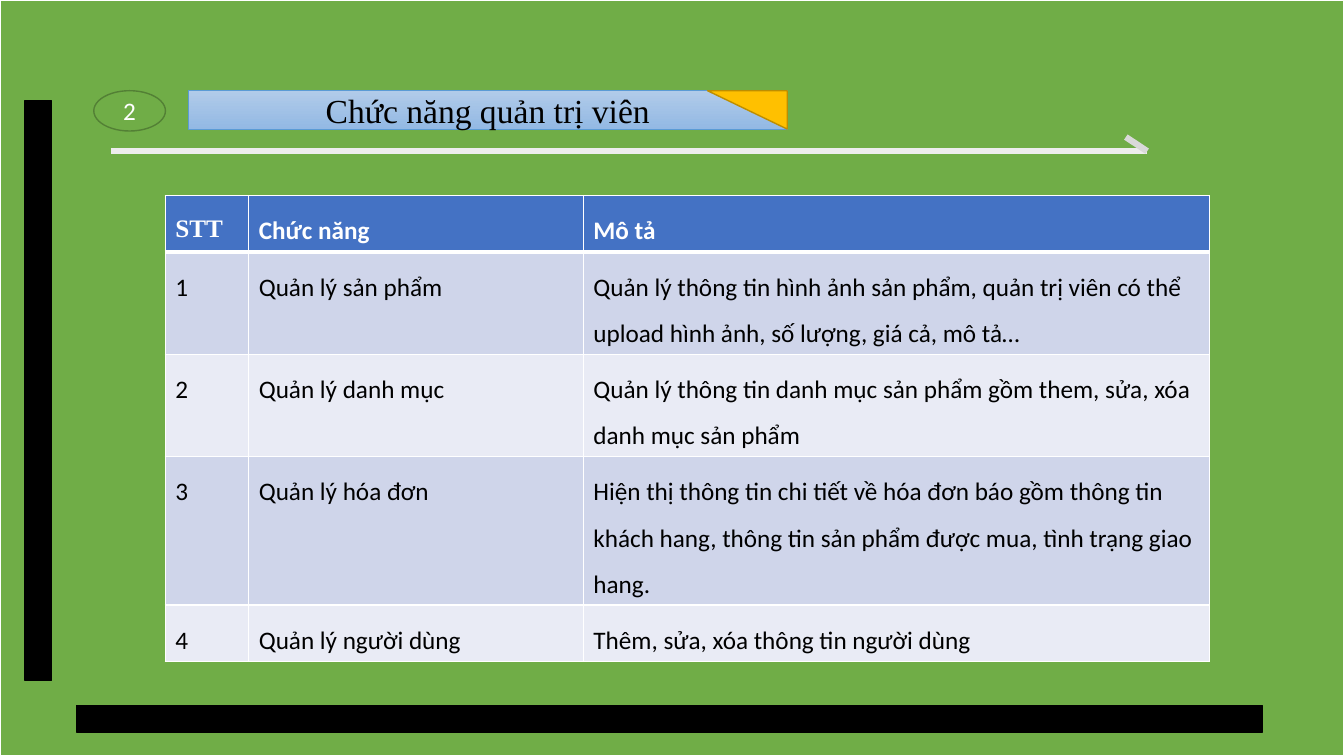
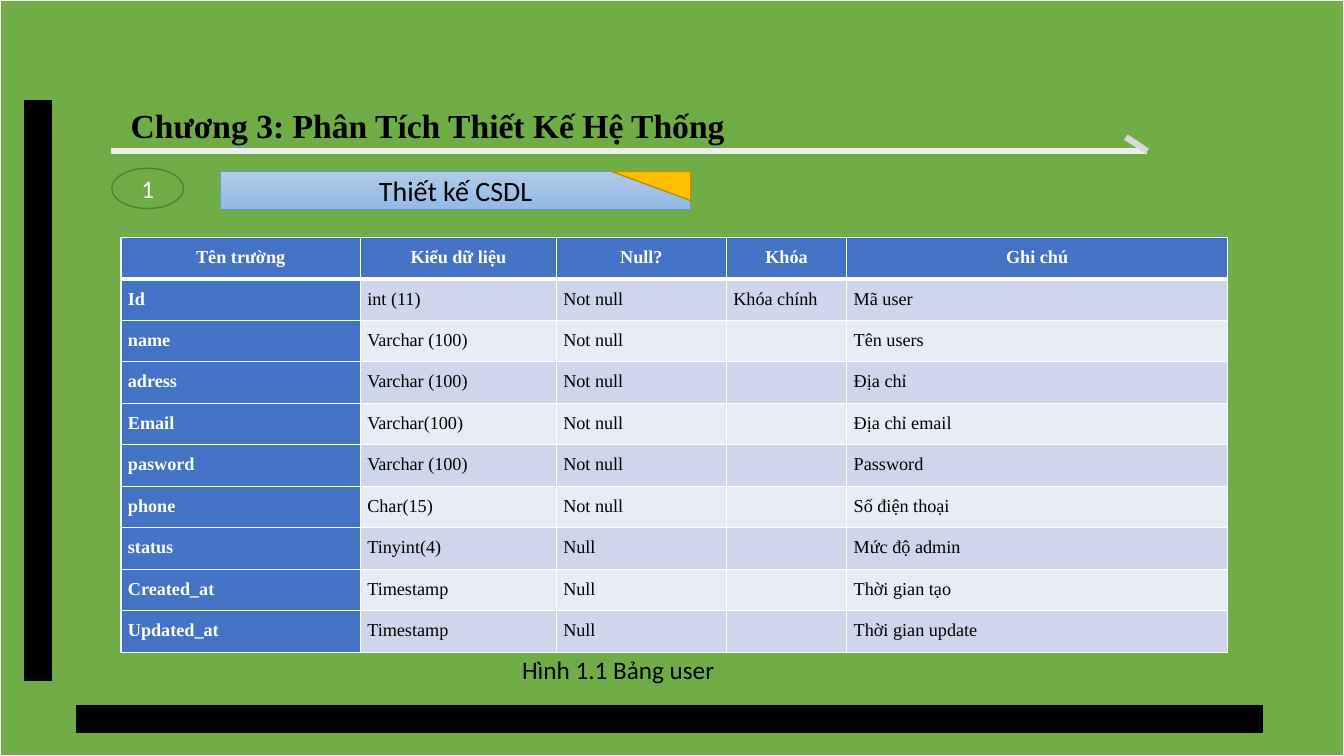
from lxml.etree import SubElement
from pptx import Presentation
from pptx.dml.color import RGBColor
from pptx.enum.shapes import MSO_CONNECTOR, MSO_SHAPE
from pptx.enum.text import MSO_ANCHOR, PP_ALIGN
from pptx.oxml.ns import qn
from pptx.util import Pt

SERIF, SANS = "Times New Roman", "Calibri"
BLACK, WHITE, GREEN, BLUE = "000000", "FFFFFF", "70AD47", "4472C4"
BANDS = ("CFD5EA", "E9EBF5")
BANNER_H = 27.4

FUNCTIONS = [
    ("STT", "Chức năng", "Mô tả"),
    ("1", "Quản lý sản phẩm",
     "Quản lý thông tin hình ảnh sản phẩm, quản trị viên có thể upload hình ảnh, "
     "số lượng, giá cả, mô tả…"),
    ("2", "Quản lý danh mục",
     "Quản lý thông tin danh mục sản phẩm gồm them, sửa, xóa danh mục sản phẩm"),
    ("3", "Quản lý hóa đơn",
     "Hiện thị thông tin chi tiết về hóa đơn báo gồm thông tin khách hang, "
     "thông tin sản phẩm được mua, tình trạng giao hang."),
    ("4", "Quản lý người dùng", "Thêm, sửa, xóa thông tin người dùng"),
]

USER_FIELDS = [
    ("Tên trường", "Kiểu dữ liệu", "Null?", "Khóa", "Ghi chú"),
    ("Id", "int (11)", "Not null", "Khóa chính", "Mã user"),
    ("name", "Varchar (100)", "Not null", "", "Tên users"),
    ("adress", "Varchar (100)", "Not null", "", "Địa chỉ"),
    ("Email", "Varchar(100)", "Not null", "", "Địa chỉ email"),
    ("pasword", "Varchar (100)", "Not null", "", "Password"),
    ("phone", "Char(15)", "Not null", "", "Số điện thoại"),
    ("status", "Tinyint(4)", "Null", "", "Mức độ admin"),
    ("Created_at", "Timestamp", "Null", "", "Thời gian tạo"),
    ("Updated_at", "Timestamp", "Null", "", "Thời gian update"),
]


def rgb(color):
    return RGBColor.from_string(color)


def write(tf, text, size=18, font=SANS, color=BLACK, bold=False,
          align=PP_ALIGN.LEFT, spacing=None):
    tf.word_wrap = True
    p = tf.paragraphs[0]
    p.alignment = align
    p.line_spacing = spacing
    if text:
        r = p.add_run()
        r.text = text
        r.font.size = Pt(size)
        r.font.name = font
        r.font.bold = bold
        r.font.color.rgb = rgb(color)


def add_shape(s, kind, x, y, w, h, fill, line, weight=1):
    """Add a preset shape; a pair of fill colours gives a vertical gradient."""
    sp = s.shapes.add_shape(kind, Pt(x), Pt(y), Pt(w), Pt(h))
    sp.shadow.inherit = False
    if isinstance(fill, tuple):
        sp.fill.gradient()
        sp.fill.gradient_angle = 270
        for stop, color in zip(sp.fill.gradient_stops, fill):
            stop.color.rgb = rgb(color)
    else:
        sp.fill.solid()
        sp.fill.fore_color.rgb = rgb(fill)
    sp.line.color.rgb = rgb(line)
    sp.line.width = Pt(weight)
    return sp


def add_line(s, x1, y1, x2, y2, color):
    line = s.shapes.add_connector(MSO_CONNECTOR.STRAIGHT, Pt(x1), Pt(y1), Pt(x2), Pt(y2))
    line.line.color.rgb = rgb(color)
    line.line.width = Pt(4.5)
    SubElement(line._element.spPr, qn("a:effectLst"))


def add_text(s, text, x, y, w, h, **fmt):
    write(s.shapes.add_textbox(Pt(x), Pt(y), Pt(w), Pt(h)).text_frame, text, **fmt)


def add_framed_slide(prs):
    """Add a blank slide with the shared background, bars and title rule."""
    s = prs.slides.add_slide(prs.slide_layouts[6])
    add_shape(s, MSO_SHAPE.RECTANGLE, 0, 0, 960, 540, GREEN, WHITE, 1.5)
    add_shape(s, MSO_SHAPE.RECTANGLE, 18, 72, 19, 414, BLACK, BLACK)
    add_shape(s, MSO_SHAPE.RECTANGLE, 54.7, 504, 847, 19, BLACK, BLACK)
    add_line(s, 79.2, 108, 819.4, 108, "EDEDED")
    add_line(s, 819.4, 108, 804.2, 97.9, "D9D9D9")
    return s


def add_number(s, number, x, y):
    sp = add_shape(s, MSO_SHAPE.OVAL, x, y, 51.2, 28.8, GREEN, "538035")
    write(sp.text_frame, number, color=WHITE, align=PP_ALIGN.CENTER)


def add_banner(s, text, x, y, w, fold_h, **fmt):
    """Add a heading banner with a folded top right corner."""
    sp = add_shape(s, MSO_SHAPE.RECTANGLE, x, y, w, BANNER_H,
                   ("B1CBE9", "93B9E4"), "5B9BD5", 0.5)
    sp.text_frame.vertical_anchor = MSO_ANCHOR.MIDDLE
    write(sp.text_frame, text, align=PP_ALIGN.CENTER, **fmt)
    fold_w = 56.9
    fold = add_shape(s, MSO_SHAPE.RIGHT_TRIANGLE, x + w - fold_w, y, fold_w, fold_h,
                     "FFC000", "BD8E00")
    fold.rotation = 180


def set_borders(cell, **widths):
    """Draw white cell borders; widths are given for L, R, T and B in that order."""
    tcPr = cell._tc.get_or_add_tcPr()
    for side, width in widths.items():
        ln = SubElement(tcPr, qn(f"a:ln{side}"), w=str(Pt(width)))
        SubElement(SubElement(ln, qn("a:solidFill")), qn("a:srgbClr"), val=WHITE)


def add_table(s, rows, x, y, widths, heights, cell_format, margins=None):
    """Add a banded table; cell_format(row, column) gives each cell's text format."""
    table = s.shapes.add_table(len(rows), len(widths), Pt(x), Pt(y),
                               Pt(sum(widths)), Pt(sum(heights))).table
    table.first_row = table.horz_banding = False
    for column, width in zip(table.columns, widths):
        column.width = Pt(width)
    for i, (row, height) in enumerate(zip(rows, heights)):
        table.rows[i].height = Pt(height)
        for j, text in enumerate(row):
            cell = table.cell(i, j)
            fmt = cell_format(i, j)
            set_borders(cell, L=1, R=1, T=3 if i == 1 else 1, B=3 if i == 0 else 1)
            cell.fill.solid()
            cell.fill.fore_color.rgb = rgb(BLUE if fmt.get("bold") else BANDS[(i - 1) % 2])
            if margins:
                cell.margin_left = cell.margin_right = Pt(margins[0])
                cell.margin_top = cell.margin_bottom = Pt(margins[1])
            write(cell.text_frame, text, spacing=1.5, **fmt)


def function_format(i, j):
    if i > 0:
        return {}
    return dict(bold=True, color=WHITE, font=SERIF if j == 0 else SANS)


def field_format(i, j):
    fmt = dict(size=13, font=SERIF)
    if i == 0 or j == 0:
        fmt.update(bold=True, color=WHITE)
    if i == 0:
        fmt["align"] = PP_ALIGN.CENTER
    return fmt


def add_admin_slide(prs):
    s = add_framed_slide(prs)
    add_number(s, "2", 67, 64.8)
    add_banner(s, "Chức năng quản trị viên", 134.6, 64.8, 427.7, BANNER_H,
               size=24, font=SERIF)
    add_table(s, FUNCTIONS, 118.1, 139.7, [59.6, 239, 447],
              [39.8, 73, 73, 105.8, 39.8], function_format)


def add_database_slide(prs):
    s = add_framed_slide(prs)
    add_text(s, "Chương 3: Phân Tích Thiết Kế Hệ Thống", 79.9, 71.3, 451.4, 36,
             size=24, font=SERIF, bold=True, align=PP_ALIGN.CENTER)
    add_number(s, "1", 79.9, 120.2)
    add_banner(s, "Thiết kế CSDL", 157.5, 122.4, 336, 20.9, size=20)
    add_table(s, USER_FIELDS, 86.4, 169.6, [171, 140, 121.5, 86, 272],
              [29.65] * len(USER_FIELDS), field_format, margins=(5, 0))
    add_text(s, "Hình 1.1 Bảng user", 365.8, 463.7, 176.4, 28.8)


def main():
    prs = Presentation()
    prs.slide_width, prs.slide_height = Pt(960), Pt(540)
    add_admin_slide(prs)
    add_database_slide(prs)
    prs.save("out.pptx")


if __name__ == "__main__":
    main()
